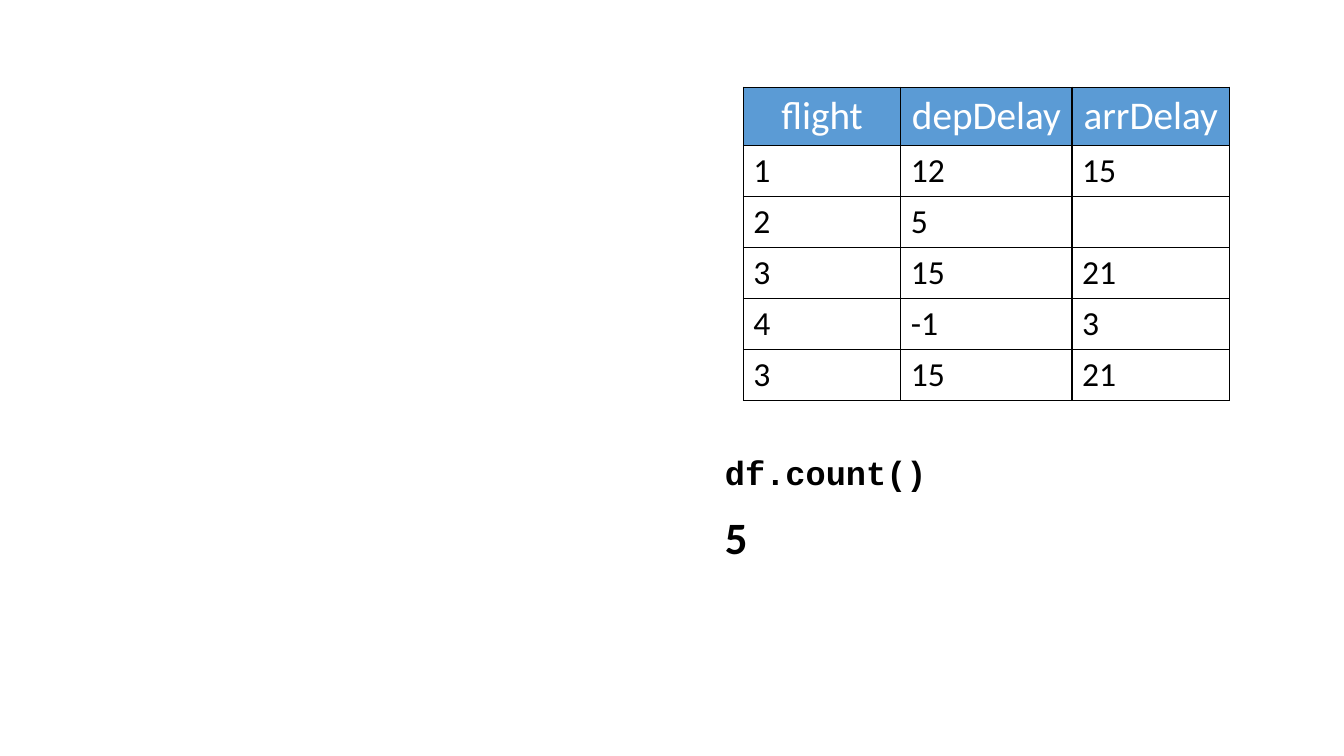
from dataclasses import dataclass

from lxml import etree
from pptx import Presentation
from pptx import util as u
from pptx.dml.color import RGBColor
from pptx.enum import text
from pptx.oxml import ns

PX = 9525  # EMU per px, at 96 px to the inch


@dataclass(frozen=True)
class Theme:
    body_font: str = "Calibri"
    code_font: str = "Courier New"
    ink: str = "000000"
    paper: str = "FFFFFF"
    header_fill: str = "5B9BD5"
    header_size: int = 28
    body_size: int = 24
    result_size: int = 32
    border_width: int = 1


THEME = Theme()

FLIGHTS = [
    ("flight", "depDelay", "arrDelay"),
    ("1", "12", "15"),
    ("2", "5", ""),
    ("3", "15", "21"),
    ("4", "-1", "3"),
    ("3", "15", "21"),
]
COLUMN_WIDTHS = (150, 163, 150)
ROW_HEIGHT = 43


def to_emu(*lengths):
    return [u.Emu(length * PX) for length in lengths]


def style_paragraph(paragraph, name, size, color, bold=False):
    font = paragraph.font
    font.name, font.size, font.bold = name, u.Pt(size), bold
    font.color.rgb = RGBColor.from_string(color)


def add_borders(cell):
    properties = cell._tc.get_or_add_tcPr()
    for index, side in enumerate(("lnL", "lnR", "lnT", "lnB")):
        line = etree.Element(ns.qn(f"a:{side}"), w=str(u.Pt(THEME.border_width)))
        fill = etree.SubElement(line, ns.qn("a:solidFill"))
        etree.SubElement(fill, ns.qn("a:srgbClr"), val=THEME.ink)
        properties.insert(index, line)


def add_flight_table(slide, left, top):
    width, height = sum(COLUMN_WIDTHS), ROW_HEIGHT * len(FLIGHTS)
    table = slide.shapes.add_table(
        len(FLIGHTS), len(COLUMN_WIDTHS), *to_emu(left, top, width, height)
    ).table
    table.first_row = table.horz_banding = False
    for column, column_width in zip(table.columns, COLUMN_WIDTHS):
        column.width = u.Emu(column_width * PX)

    for row_index, row in enumerate(FLIGHTS):
        is_header = row_index == 0
        fill = THEME.header_fill if is_header else THEME.paper
        color = THEME.paper if is_header else THEME.ink
        size = THEME.header_size if is_header else THEME.body_size
        for column_index, value in enumerate(row):
            cell = table.cell(row_index, column_index)
            cell.text = value
            cell.fill.solid()
            cell.fill.fore_color.rgb = RGBColor.from_string(fill)
            paragraph = cell.text_frame.paragraphs[0]
            style_paragraph(paragraph, THEME.body_font, size, color)
            if is_header:
                paragraph.alignment = text.PP_ALIGN.CENTER
            add_borders(cell)


def add_label(slide, box, words, font_name, size, wrap=True):
    frame = slide.shapes.add_textbox(*to_emu(*box)).text_frame
    frame.word_wrap = wrap
    frame.auto_size = text.MSO_AUTO_SIZE.SHAPE_TO_FIT_TEXT
    frame.text = words
    style_paragraph(frame.paragraphs[0], font_name, size, THEME.ink, bold=True)


def add_count_example(slide, left, top):
    # Call
    add_label(slide, (left, top, 566, 48), "df.count()",
              THEME.code_font, THEME.body_size)
    # Result
    add_label(slide, (left, top + 55, 41, 61), "5",
              THEME.body_font, THEME.result_size, wrap=False)


def main():
    presentation = Presentation()
    presentation.slide_width, presentation.slide_height = to_emu(1280, 720)
    slide = presentation.slides.add_slide(presentation.slide_layouts[6])
    add_flight_table(slide, 708, 83)
    add_count_example(slide, 681, 426)
    presentation.save("out.pptx")


if __name__ == "__main__":
    main()
